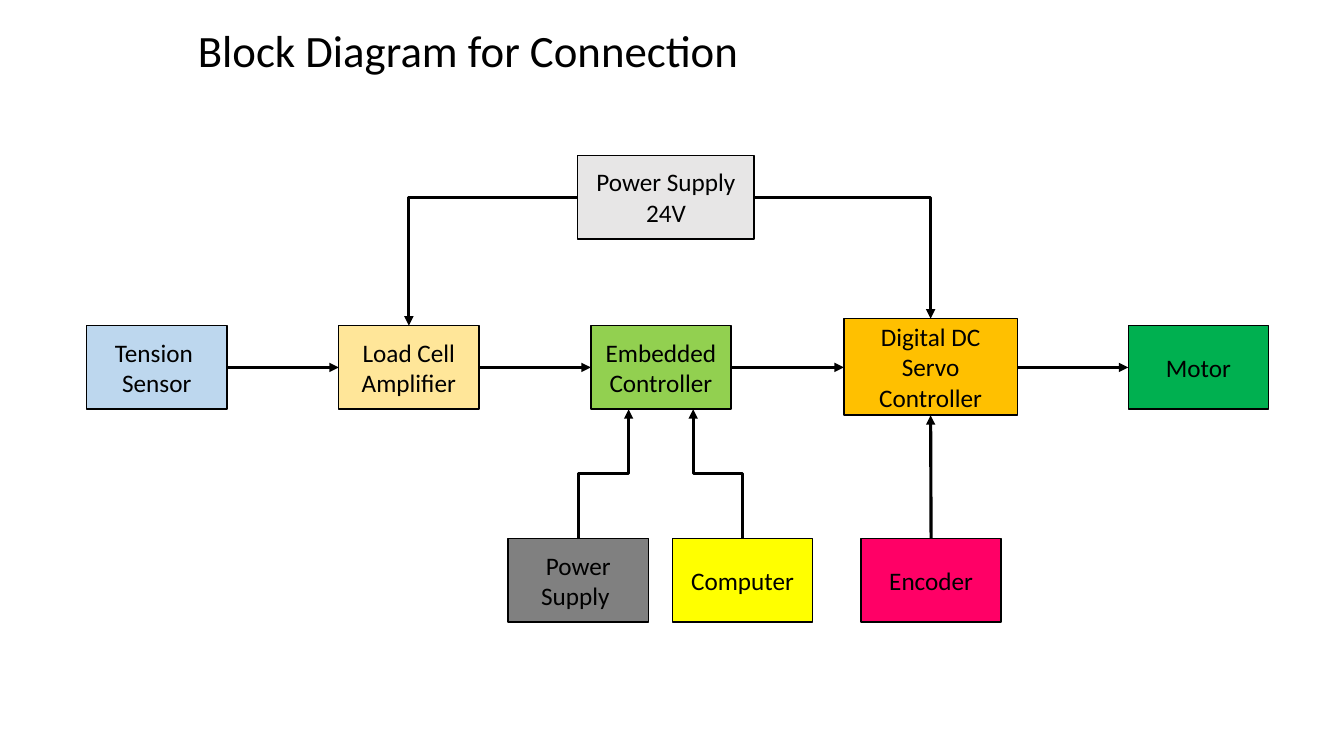
from pptx import Presentation
from pptx.dml.color import RGBColor
from pptx.enum.shapes import MSO_CONNECTOR, MSO_SHAPE
from pptx.enum.text import MSO_ANCHOR, MSO_AUTO_SIZE, PP_ALIGN
from pptx.oxml.ns import qn
from pptx.util import Inches, Pt
from lxml import etree

RECT = MSO_SHAPE.RECTANGLE
LINE, ELBOW = MSO_CONNECTOR.STRAIGHT, MSO_CONNECTOR.ELBOW
MIDDLE, BOTTOM = MSO_ANCHOR.MIDDLE, MSO_ANCHOR.BOTTOM
CENTER = PP_ALIGN.CENTER

BLACK = RGBColor(0, 0, 0)
BLUE = RGBColor(0xBD, 0xD7, 0xEE)
CREAM = RGBColor(0xFF, 0xE6, 0x99)
GREEN = RGBColor(0x92, 0xD0, 0x50)
ORANGE = RGBColor(0xFF, 0xC0, 0x00)
DARK = RGBColor(0x00, 0xB0, 0x50)
LIGHT = RGBColor(0xE7, 0xE6, 0xE6)
GRAY = RGBColor(0x80, 0x80, 0x80)
YELLOW = RGBColor(0xFF, 0xFF, 0x00)
PINK = RGBColor(0xFF, 0x00, 0x66)

# Content
FONT = "Calibri"
TITLE = "Block Diagram for Connection"
WIDE, HIGH = 1.39, 0.83
TOP, MID, LOW = 1.54, 3.23, 5.34

# name: (lines, fill, left, top, width, height)
BLOCKS = {
    "sensor": (["Tension ", "Sensor"], BLUE, 0.86, MID, WIDE, HIGH),
    "amp": (["Load Cell Amplifier"], CREAM, 3.36, MID, WIDE, HIGH),
    "control": (["Embedded", "Controller"], GREEN, 5.86, MID, WIDE, HIGH),
    "servo": (["Digital DC Servo Controller"], ORANGE, 8.37, 3.16, 1.72, 0.96),
    "motor": (["Motor"], DARK, 11.19, MID, WIDE, HIGH),
    "mains": (["Power Supply", "24V"], LIGHT, 5.73, TOP, 1.75, HIGH),
    "power": (["Power Supply "], GRAY, 5.04, LOW, WIDE, HIGH),
    "computer": (["Computer"], YELLOW, 6.67, LOW, WIDE, HIGH),
    "encoder": (["Encoder"], PINK, 8.54, LOW, WIDE, HIGH),
}
CHAIN = ["sensor", "amp", "control", "servo", "motor"]
INPUTS = [("power", -0.32), ("computer", 0.32)]  # offset from controller centre

deck = Presentation()
deck.slide_width, deck.slide_height = Inches(13.33), Inches(7.5)
slide = deck.slides.add_slide(deck.slide_layouts[0])


def write(para, text, size):
    para.alignment = CENTER
    run = para.add_run()
    run.text = text
    run.font.name, run.font.size = FONT, Pt(size)
    run.font.color.rgb = BLACK


def edges(name):
    left, top, width, height = BLOCKS[name][2:]
    return left, top, left + width, top + height


def center(name):
    left, top, right, base = edges(name)
    return (left + right) / 2, (top + base) / 2


def arrow(kind, x1, y1, x2, y2):
    link = slide.shapes.add_connector(
        kind, Inches(x1), Inches(y1), Inches(x2), Inches(y2))
    link.line.color.rgb = BLACK
    link.line.width = Pt(2.25)
    props = link._element.spPr
    etree.SubElement(props.find(qn("a:ln")), qn("a:tailEnd"), type="triangle")
    etree.SubElement(props, qn("a:effectLst"))
    return props


# Title
slide.placeholders[1].element.getparent().remove(slide.placeholders[1].element)
title = slide.shapes.title
title.left, title.top = Inches(1.67), Inches(0.23)
title.width, title.height = Inches(5.95), Inches(0.59)
frame = title.text_frame
frame.auto_size = MSO_AUTO_SIZE.NONE
frame.vertical_anchor = BOTTOM
frame.paragraphs[0].line_spacing = 0.9
write(frame.paragraphs[0], TITLE, 32)

# Blocks
for lines, fill, *place in BLOCKS.values():
    box = slide.shapes.add_shape(RECT, *map(Inches, place))
    box.shadow.inherit = False
    box.fill.solid()
    box.fill.fore_color.rgb = fill
    box.line.color.rgb = BLACK
    box.line.width = Pt(1)
    frame = box.text_frame
    frame.word_wrap = True
    frame.vertical_anchor = MIDDLE
    for i, text in enumerate(lines):
        para = frame.add_paragraph() if i else frame.paragraphs[0]
        write(para, text, 18)

# Main chain and encoder
row = center("control")[1]
for start, end in zip(CHAIN, CHAIN[1:]):
    arrow(LINE, edges(start)[2], row, edges(end)[0], row)
arrow(LINE, center("encoder")[0], LOW, center("servo")[0], edges("servo")[3])

# 24V feeds: sideways, then one turn down
for end, side in [("amp", 0), ("servo", 2)]:
    props = arrow(ELBOW, edges("mains")[side], center("mains")[1],
                  center(end)[0], edges(end)[1])
    props.find(qn("a:prstGeom")).set("prst", "bentConnector2")

# Controller inputs: the elbow is laid out flat, then turned to run upward
base = edges("control")[3]
half, level = (LOW - base) / 2, (LOW + base) / 2
for start, shift in INPUTS:
    x1, x2 = center(start)[0], center("control")[0] + shift
    mid, reach = (x1 + x2) / 2, (x2 - x1) / 2
    props = arrow(ELBOW, mid - half, level - reach, mid + half, level + reach)
    props.find(qn("a:xfrm")).set("rot", str(270 * 60000))

deck.save("out.pptx")
